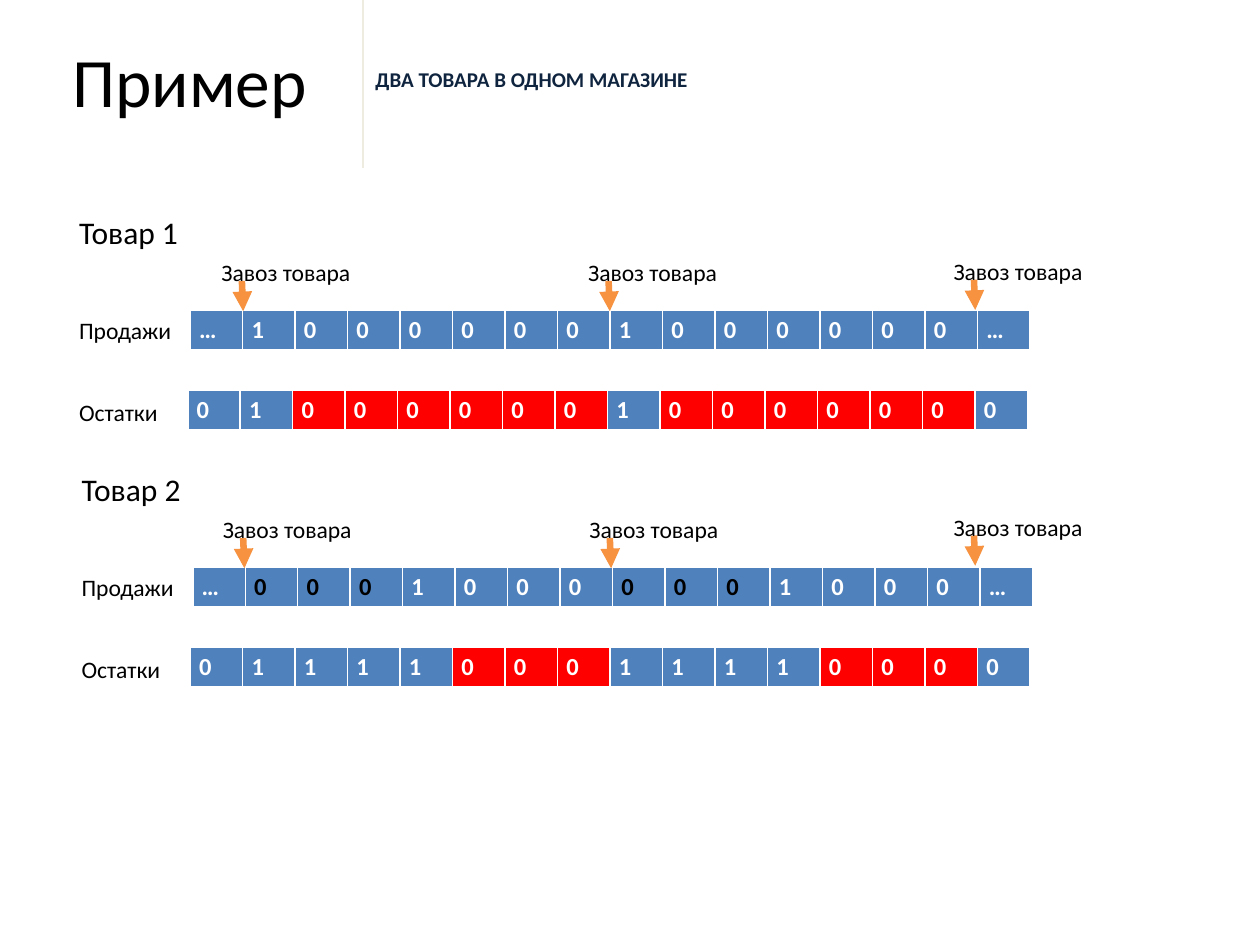
from dataclasses import dataclass

from lxml import etree
from pptx import Presentation
from pptx.dml.color import RGBColor
from pptx.enum.shapes import MSO_CONNECTOR
from pptx.enum.text import MSO_ANCHOR, MSO_AUTO_SIZE, PP_ALIGN
from pptx.oxml.ns import qn
from pptx.util import Inches, Pt

LINE = MSO_CONNECTOR.STRAIGHT
MIDDLE = MSO_ANCHOR.MIDDLE
GROW, FIXED = MSO_AUTO_SIZE.SHAPE_TO_FIT_TEXT, MSO_AUTO_SIZE.NONE
LEFT, CENTER = PP_ALIGN.LEFT, PP_ALIGN.CENTER


@dataclass(frozen=True)
class Theme:
    font: str = "Calibri"
    black: str = "000000"
    white: str = "FFFFFF"
    navy: str = "0F243E"
    blue: str = "4F81BD"
    red: str = "FF0000"
    orange: str = "F69240"
    rule: str = "EEECE1"
    title: float = 39.6
    head: float = 18
    cell: float = 14
    label: float = 13.5
    sub: float = 12


THEME = Theme()

# name, left, top, sales, stock, tail points of the delivery arrows
GOODS = [
    ("Товар 1", 0.53, 1.64, "…10000001000000…", "0100000010000000",
     [(1.92, 2.23), (4.83, 2.23), (7.73, 2.22)]),
    ("Товар 2", 0.55, 3.68, "…00010000001000…", "0111100011110000",
     [(1.93, 4.27), (4.84, 4.27), (7.73, 4.25)]),
]


def style(para, size, color=THEME.black, bold=False):
    font = para.font
    font.name, font.size, font.bold = THEME.font, Pt(size), bold
    font.color.rgb = RGBColor.from_string(color)


def fill_holder(shape, box, text, size, color, bold=False, align=LEFT):
    """Move a template placeholder and set its one line of text, unbulleted."""
    shape.left, shape.top, shape.width, shape.height = map(Inches, box)
    frame = shape.text_frame
    frame.text = text
    frame.vertical_anchor, frame.auto_size = MIDDLE, FIXED
    para = frame.paragraphs[0]
    para.alignment = align
    style(para, size, color, bold)
    props = para._p.get_or_add_pPr()
    props.set("marL", "0")
    props.set("indent", "0")
    props.insert_element_before(
        etree.Element(qn("a:buNone")), "a:tabLst", "a:defRPr", "a:extLst")


def add_text(slide, box, text, size, wrap=True):
    frame = slide.shapes.add_textbox(*map(Inches, box)).text_frame
    frame.word_wrap, frame.auto_size = wrap, GROW
    frame.text = text
    style(frame.paragraphs[0], size)


def add_line(slide, start, end, color, width, arrow=False):
    line = slide.shapes.add_connector(LINE, *map(Inches, start + end))
    line.line.color.rgb = RGBColor.from_string(color)
    line.line.width = Pt(width)
    if arrow:
        etree.SubElement(line.line._get_or_add_ln(), qn("a:tailEnd"),
                         type="triangle")
    etree.SubElement(line._element.spPr, qn("a:effectLst"))


def add_row(slide, left, top, cells):
    """Add a one-row table from (text, text colour, fill) triples."""
    box = map(Inches, (left, top, 6.67, 0.3))
    table = slide.shapes.add_table(1, len(cells), *box).table
    for cell, (text, color, fill) in zip(table.iter_cells(), cells):
        cell.text = text
        cell.margin_left = cell.margin_right = Inches(0.07)
        cell.margin_top = cell.margin_bottom = Inches(0.04)
        cell.fill.solid()
        cell.fill.fore_color.rgb = RGBColor.from_string(fill)
        style(cell.text_frame.paragraphs[0], THEME.cell, color, True)


def sales_cells(sales, stock):
    """Days in stock without a sale have black figures."""
    return [(sold, THEME.black if sold + left == "01" else THEME.white,
             THEME.blue) for sold, left in zip(sales, stock)]


def stock_cells(stock):
    """Empty days between the first and last are red."""
    last = len(stock) - 1
    return [(left, THEME.white,
             THEME.red if left == "0" and 0 < day < last else THEME.blue)
            for day, left in enumerate(stock)]


def add_goods(slide, name, x, y, sales, stock, drops):
    add_text(slide, (x, y, 4.96, 0.4), name, THEME.head)
    add_text(slide, (x, y + 0.82, 1.13, 0.33), "Продажи", THEME.label)
    add_row(slide, x + 0.98, y + 0.82, sales_cells(sales, stock))
    for left, top in drops:
        add_line(slide, (left, top), (left + 0.01, top + 0.24),
                 THEME.orange, 3.75, arrow=True)
        add_text(slide, (left - 0.26, top - 0.23, 1.24, 0.33),
                 "Завоз товара", THEME.label, wrap=False)
    add_row(slide, x + 0.96, y + 1.46, stock_cells(stock))
    add_text(slide, (x, y + 1.47, 1.13, 0.33), "Остатки", THEME.label)


def main():
    deck = Presentation()
    deck.slide_width, deck.slide_height = Inches(10), Inches(7.5)
    slide = deck.slides.add_slide(deck.slide_layouts[1])
    add_line(slide, (2.88, 0), (2.88, 1.33), THEME.rule, 1)
    fill_holder(slide.shapes.title, (0.13, 0.45, 2.75, 0.37), "Пример",
                THEME.title, THEME.black, align=CENTER)
    fill_holder(slide.placeholders[1], (2.88, 0.48, 6.62, 0.3),
                "ДВА ТОВАРА В ОДНОМ МАГАЗИНЕ", THEME.sub, THEME.navy, True)
    for item in GOODS:
        add_goods(slide, *item)
    deck.save("out.pptx")


if __name__ == "__main__":
    main()
